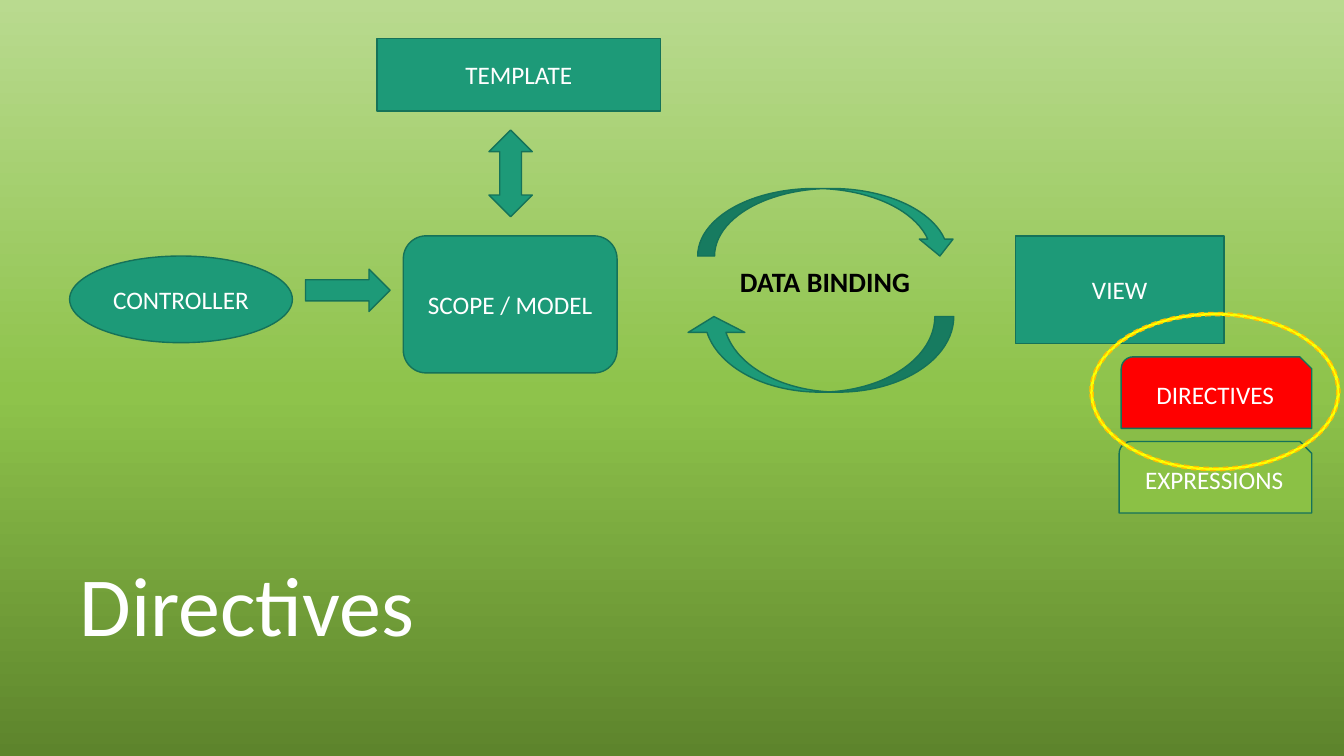
from copy import deepcopy
from dataclasses import dataclass

from pptx import Presentation
from pptx.dml.color import RGBColor
from pptx.enum.dml import MSO_LINE
from pptx.enum.shapes import MSO_SHAPE
from pptx.enum.text import MSO_ANCHOR, PP_ALIGN
from pptx.util import Inches, Pt


@dataclass(frozen=True)
class Theme:
    font: str = "Calibri"
    title_size: int = 60
    label_size: int = 20
    box_size: int = 18
    white: str = "FFFFFF"
    black: str = "000000"
    teal: str = "1D9A78"
    outline: str = "157259"
    red: str = "FF0000"
    green: str = "8BC145"
    yellow: str = "FFFF00"
    amber: str = "FFC000"
    background: tuple = ((0, "5D842C"), (0.48, "8EC34B"), (1, "B9DA8F"))


THEME = Theme()

TITLE = ("Directives", (0.69, 4.6, 11.5, 1.94))
BINDING_LABEL = ("DATA BINDING", (7.24, 2.58, 2.08, 0.44))

BOXES = [
    ("TEMPLATE", MSO_SHAPE.RECTANGLE, (3.74, 0.38, 2.81, 0.72), THEME.teal),
    ("CONTROLLER", MSO_SHAPE.OVAL, (0.69, 2.54, 2.21, 0.86), THEME.teal),
    ("SCOPE / MODEL", MSO_SHAPE.ROUNDED_RECTANGLE, (4, 2.34, 2.12, 1.36), THEME.teal),
    ("VIEW", MSO_SHAPE.RECTANGLE, (10.07, 2.34, 2.07, 1.07), THEME.teal),
    ("DIRECTIVES", MSO_SHAPE.SNIP_ROUND_RECTANGLE, (11.12, 3.54, 1.89, 0.71), THEME.red),
    ("EXPRESSIONS", MSO_SHAPE.SNIP_ROUND_RECTANGLE, (11.1, 4.38, 1.91, 0.71), THEME.green),
]

ARROWS = [
    (MSO_SHAPE.UP_DOWN_ARROW, (4.85, 1.29, 0.43, 0.86), (), False),
    (MSO_SHAPE.CURVED_DOWN_ARROW, (6.92, 1.87, 2.57, 0.67), (), False),
    (MSO_SHAPE.CURVED_UP_ARROW, (6.8, 3.14, 2.66, 0.75), (0.25, 0.75, 0.21), True),
    (MSO_SHAPE.RIGHT_ARROW, (3.03, 2.67, 0.84, 0.42), (), False),
]

HIGHLIGHT = (MSO_SHAPE.DONUT, (10.81, 3.1, 2.48, 1.57), (0.02,))


def paint_background(slide):
    fill = slide.background.fill
    fill.gradient()
    fill.gradient_angle = 90
    first_stop = fill.gradient_stops[0]._gs
    first_stop.addnext(deepcopy(first_stop))
    for stop, (position, color) in zip(fill.gradient_stops, THEME.background):
        stop.position = position
        stop.color.rgb = RGBColor.from_string(color)


def write_text(shape, text, size, color, bold=False, align=PP_ALIGN.LEFT,
               anchor=MSO_ANCHOR.TOP, spacing=1.0):
    frame = shape.text_frame
    frame.word_wrap = True
    frame.vertical_anchor = anchor
    paragraph = frame.paragraphs[0]
    paragraph.alignment = align
    paragraph.line_spacing = spacing
    run = paragraph.add_run()
    run.text = text
    run.font.color.rgb = RGBColor.from_string(color)
    for name, value in {"name": THEME.font, "size": Pt(size), "bold": bold}.items():
        setattr(run.font, name, value)


def add_text(slide, text, place, **style):
    write_text(slide.shapes.add_textbox(*map(Inches, place)), text, **style)


def add_figure(slide, kind, place, fill, outline=THEME.outline, adjustments=()):
    shape = slide.shapes.add_shape(kind, *map(Inches, place))
    shape.shadow.inherit = False
    shape.fill.solid()
    shape.fill.fore_color.rgb = RGBColor.from_string(fill)
    shape.line.color.rgb = RGBColor.from_string(outline)
    shape.line.width = Pt(1)
    for index, value in enumerate(adjustments):
        shape.adjustments[index] = value
    return shape


def main():
    presentation = Presentation()
    presentation.slide_width = Inches(13.33)
    presentation.slide_height = Inches(7.5)
    slide = presentation.slides.add_slide(presentation.slide_layouts[6])
    paint_background(slide)

    add_text(slide, *TITLE, size=THEME.title_size, color=THEME.white,
             anchor=MSO_ANCHOR.BOTTOM, spacing=0.9)
    for text, kind, place, fill in BOXES:
        box = add_figure(slide, kind, place, fill)
        write_text(box, text, THEME.box_size, THEME.white,
                   align=PP_ALIGN.CENTER, anchor=MSO_ANCHOR.MIDDLE)
    for kind, place, adjustments, flipped in ARROWS:
        arrow = add_figure(slide, kind, place, THEME.teal, adjustments=adjustments)
        if flipped:
            arrow._element.spPr.xfrm.set("flipH", "1")
    add_text(slide, *BINDING_LABEL, size=THEME.label_size, color=THEME.black, bold=True)

    kind, place, adjustments = HIGHLIGHT
    ring = add_figure(slide, kind, place, THEME.yellow, THEME.amber, adjustments)
    ring.line.dash_style = MSO_LINE.DASH

    presentation.save("out.pptx")


if __name__ == "__main__":
    main()
